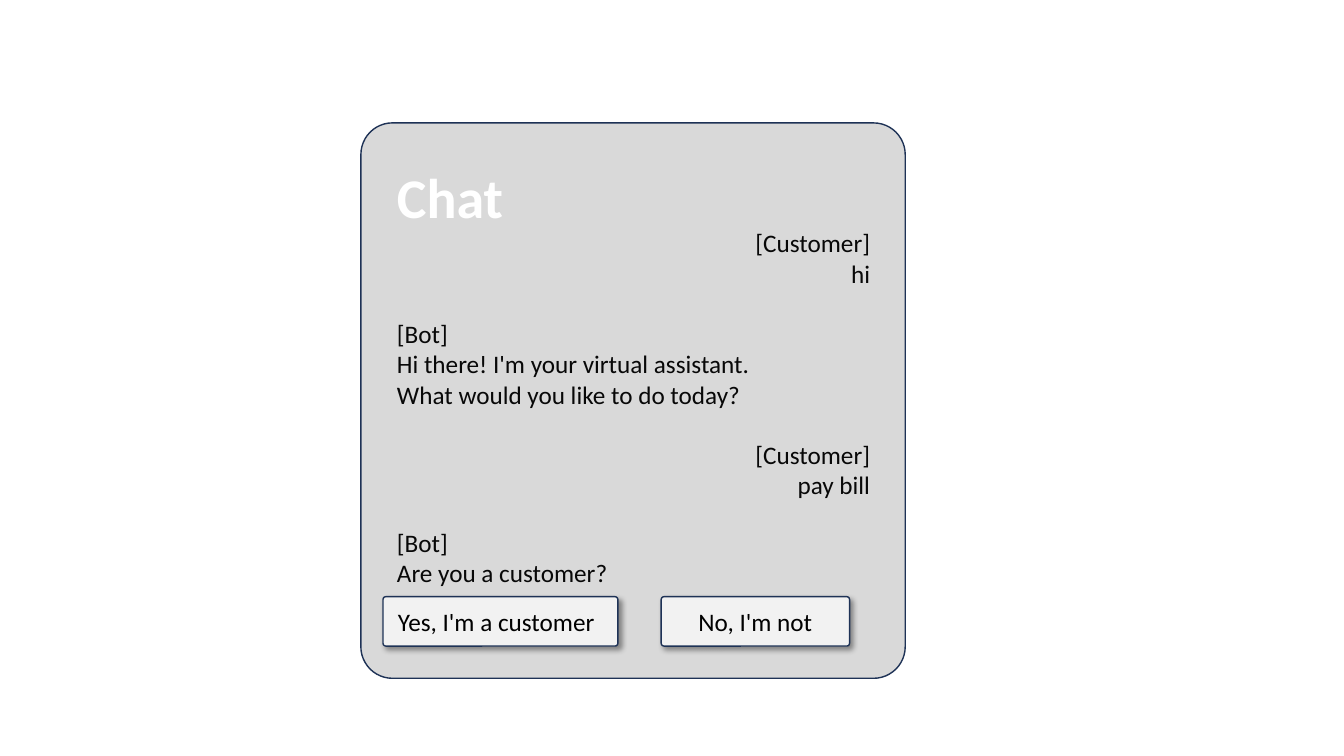
from lxml.etree import SubElement
from pptx import Presentation
from pptx.dml.color import RGBColor
from pptx.enum.shapes import MSO_SHAPE
from pptx.enum.text import MSO_ANCHOR, MSO_AUTO_SIZE, PP_ALIGN
from pptx.oxml.ns import qn
from pptx.util import Pt

HUES = {"panel": "D9D9D9", "button": "F2F2F2", "edge": "1E3256",
        "text": "080808", "label": "000000", "title": "FFFFFF"}
BODY = {"name": "Calibri", "size": Pt(18), "bold": False}
HEAD = {**BODY, "size": Pt(40), "bold": True}


def hue(name):
    return RGBColor.from_string(HUES[name])


def assign(target, values):
    for key, value in values.items():
        setattr(target, key, value)


class Deck:
    """Holds the text style and the current slide."""

    def __init__(self, wide, high):
        self.show = Presentation()
        assign(self.show, {"slide_width": Pt(wide), "slide_height": Pt(high)})
        self.slide = self.show.slides.add_slide(self.show.slide_layouts[6])
        self.font = BODY

    def label(self, frame, lines, align, color="text", font=None):
        frame.text = "\n".join(lines)
        for para in frame.paragraphs:
            para.alignment = align
            assign(para.runs[0].font, font or self.font)
            para.runs[0].font.color.rgb = hue(color)

    def card(self, box, fill):
        shape = self.slide.shapes.add_shape(
            MSO_SHAPE.ROUNDED_RECTANGLE, *map(Pt, box))
        shape.adjustments[0] = 0.058
        shape.fill.solid()
        shape.fill.fore_color.rgb = hue(fill)
        shape.line.color.rgb = hue("edge")
        shape.line.width = Pt(1)
        shape.shadow.inherit = False
        return shape

    def button(self, box, words, align):
        shape = self.card(box, "button")
        # Soft shadow to the lower right
        effects = shape._element.spPr.find(qn("a:effectLst"))
        shade = SubElement(effects, qn("a:outerShdw"), blurRad=str(Pt(4)),
                           dist=str(Pt(3)), dir=str(45 * 60000),
                           algn="tl", rotWithShape="0")
        tint = SubElement(shade, qn("a:srgbClr"), val=HUES["label"])
        SubElement(tint, qn("a:alpha"), val="40000")
        # Label
        assign(shape.text_frame, {
            "margin_left": Pt(10), "margin_right": Pt(10),
            "word_wrap": False, "vertical_anchor": MSO_ANCHOR.MIDDLE})
        self.label(shape.text_frame, [words], align, "label")

    def note(self, box, lines, align=PP_ALIGN.LEFT, wrap=False, **look):
        frame = self.slide.shapes.add_textbox(*map(Pt, box)).text_frame
        assign(frame, {"word_wrap": wrap,
                       "auto_size": MSO_AUTO_SIZE.SHAPE_TO_FIT_TEXT})
        self.label(frame, lines, align, **look)


def main():
    deck = Deck(960, 540)
    left = 276.5

    # Chat window
    deck.card((257.8, 87.8, 388.8, 396.7), "panel")
    deck.note((left, 112.3, 100, 56.9), ["Chat"], wrap=True,
              color="title", font=HEAD)

    # Customer messages
    for top, words in ((159.1, "hi"), (310.3, "pay bill")):
        deck.note((531.4, top, 97.2, 51.1), ["[Customer]", words],
                  PP_ALIGN.RIGHT)

    # Bot messages
    deck.note((left, 223.9, 269.3, 72.7),
              ["[Bot]", "Hi there! I'm your virtual assistant.",
               "What would you like to do today?"])
    deck.note((left, 373, 352, 51.1), ["[Bot]", "Are you a customer?"],
              wrap=True)

    # Answer buttons
    for x, wide, words, align in (
            (273.6, 167.8, "Yes, I'm a customer", PP_ALIGN.LEFT),
            (472.3, 134.6, "No, I'm not", PP_ALIGN.CENTER)):
        deck.button((x, 426.2, wide, 35.3), words, align)

    deck.show.save("out.pptx")


if __name__ == "__main__":
    main()
